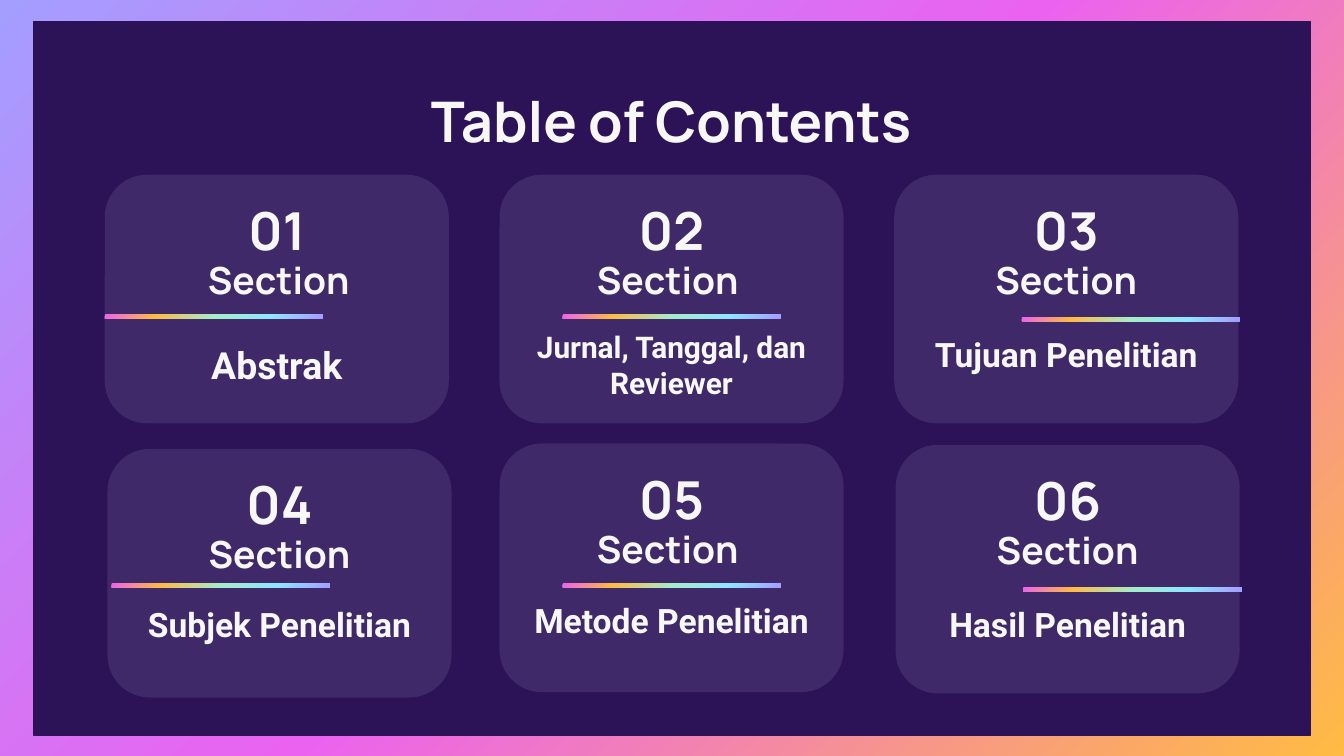
from copy import deepcopy
from dataclasses import dataclass

from pptx import Presentation
from pptx.dml.color import RGBColor as RGB
from pptx.dml.fill import FillFormat as Fill
from pptx.enum.shapes import MSO_SHAPE as Kind
from pptx.enum.text import MSO_ANCHOR as Anchor, PP_ALIGN as Align
from pptx.shapes.autoshape import Shape
from pptx.util import Inches, Pt

HUES = {
    "panel": "2C1256", "card": "402968", "text": "F7F7F5",
    "blue": "A49EFF", "pink": "EB62F0", "gold": "FFBB43",
    "mint": "A7ECC8", "sky": "8EE6FF",
}
FRAME = [(0, "blue"), (50, "pink"), (100, "gold")]
BAND = [(0, "pink"), (23, "gold"), (50, "mint"), (76, "sky"), (100, "blue")]

WIDE = Inches(10)
HIGH = WIDE * 9 // 16
LEFT, TOP = 7.8, 13
COL, ROW = 29.37, 20
CARD_W, CARD_H = 25.6, 18.5
NUM_W, BAR_W = 11.4, 16.2


@dataclass
class Card:
    col: int
    row: int
    topic: str
    size: int
    drop: float
    bar_x: float
    bar_y: float
    dx: float = 0
    dy: float = 0
    head: str = "Section"
    head_x: float = 0


CARDS = [
    Card(0, 0, "Abstrak", 20, 11.45, 0, 10.4, head_x=0.15),
    Card(1, 0, "Jurnal, Tanggal, dan Reviewer", 16, 10.45, 4.7, 10.4, head="Section "),
    Card(2, 0, "Tujuan Penelitian", 18, 10.85, 9.5, 10.6),
    Card(0, 1, "Subjek Penelitian", 18, 10.55, 0.3, 10, 0.2, 0.4),
    Card(1, 1, "Metode Penelitian", 18, 10.65, 4.7, 10.4, head="Section "),
    Card(2, 1, "Hasil Penelitian", 18, 10.8, 9.5, 10.6, 0.1, 0.1),
]

deck = Presentation()
deck.slide_width, deck.slide_height = WIDE, HIGH
slide = deck.slides.add_slide(deck.slide_layouts[6])


def part(share: float) -> int:
    return round(WIDE * share / 100)


def blend(fill: Fill, node, stops: list[tuple[int, str]]) -> None:
    fill.gradient()
    fill.gradient_angle = 315
    chain = node.xpath(".//a:gradFill/a:gsLst")[0]
    first = chain[0]
    for old in list(chain):
        chain.remove(old)
    for _ in stops:
        chain.append(deepcopy(first))
    for stop, (place, hue) in zip(fill.gradient_stops, stops):
        stop.position = place / 100
        stop.color.rgb = RGB.from_string(HUES[hue])


def block(kind: Kind, x: float, y: float, w: float, h: float, hue: str = "") -> Shape:
    shape = slide.shapes.add_shape(kind, part(x), part(y), part(w), part(h))
    shape.shadow.inherit = False
    shape.line.fill.background()
    if hue:
        shape.fill.solid()
        shape.fill.fore_color.rgb = RGB.from_string(HUES[hue])
    return shape


def label(text: str, x: float, y: float, w: float, h: float, size: int,
          face: str = "Manrope", anchor: Anchor = Anchor.MIDDLE) -> None:
    frame = slide.shapes.add_textbox(part(x), part(y), part(w), part(h)).text_frame
    frame.word_wrap = True
    frame.vertical_anchor = anchor
    frame.margin_left = frame.margin_right = part(1)
    frame.margin_top = frame.margin_bottom = part(1)
    line = frame.paragraphs[0]
    line.text = text
    line.alignment = Align.CENTER
    line.font.name, line.font.size, line.font.bold = face, Pt(size), True
    line.font.color.rgb = RGB.from_string(HUES["text"])


def draw(card: Card, num: int) -> None:
    x = LEFT + card.col * COL + card.dx
    y = TOP + card.row * ROW + card.dy
    tile = block(Kind.ROUNDED_RECTANGLE, x, y, CARD_W, CARD_H, "card")
    tile.adjustments[0] = 0.17
    label(f"{num:02}", x + (CARD_W - NUM_W) / 2, y + 1.6, NUM_W, 5, 28)
    label(card.head, x + card.head_x, y + 5.8, CARD_W, 4, 20)
    label(card.topic, x, y + card.drop, CARD_W, 6.5, card.size, "Roboto", Anchor.TOP)
    bar = block(Kind.RECTANGLE, x + card.bar_x, y + card.bar_y, BAR_W, 0.3)
    blend(bar.fill, bar.element, BAND)


blend(slide.background.fill, slide.element, FRAME)
panel = block(Kind.RECTANGLE, 2.5, 1.6, 95, 53.1, "panel")
panel.line.color.rgb = RGB.from_string(HUES["panel"])
panel.line.width = Pt(0.75)
label("Table of Contents", LEFT, 5.85, 84.3, 6.2, 30)
for num, card in enumerate(CARDS, 1):
    draw(card, num)

deck.save("out.pptx")
